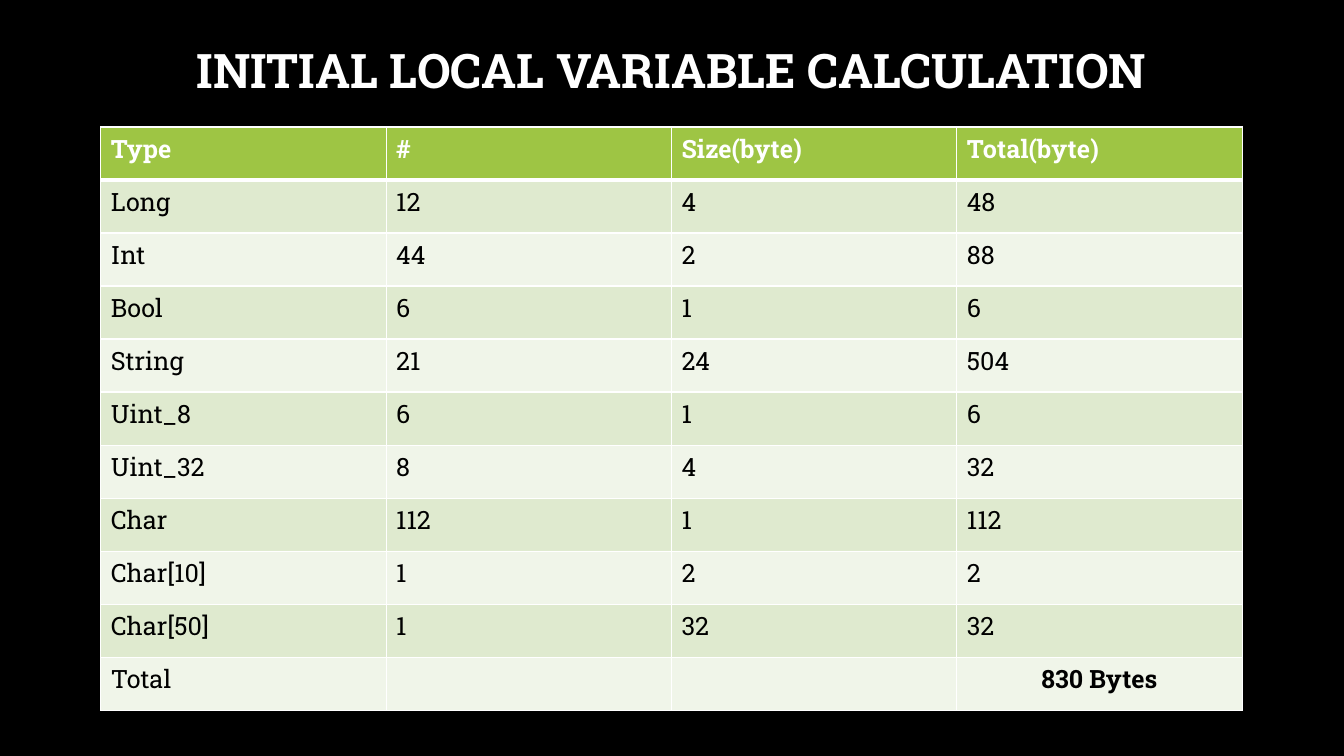
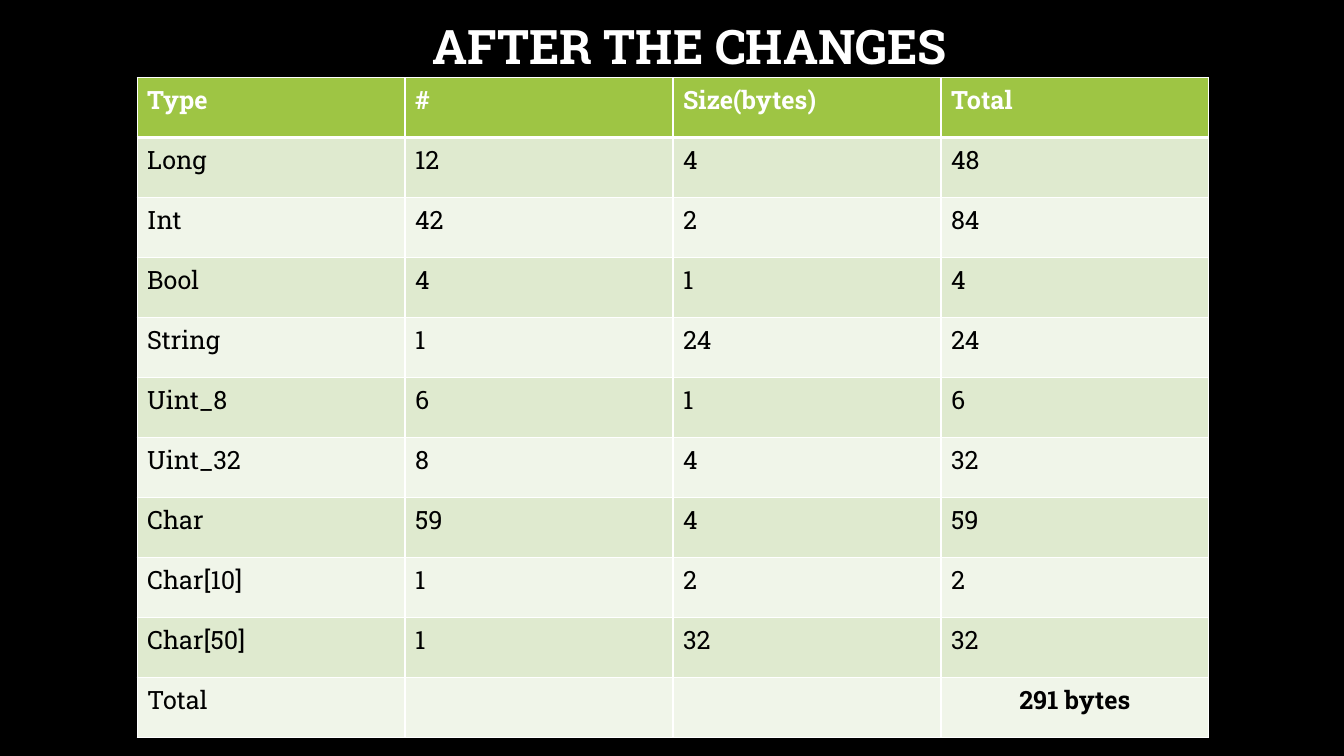
from lxml import etree
from pptx import Presentation
from pptx import util as u
from pptx.dml.color import RGBColor
from pptx.enum import text
from pptx.oxml import ns

COLOURS = {
    "background": "000000",
    "title": "FFFFFF",
    "border": "FFFFFF",
    "header": "9EC544",
    "header text": "FFFFFF",
    "odd row": "DFEACF",
    "even row": "F0F5E9",
    "body text": "000000",
}
FONT = "Roboto Slab"
TITLE_ONLY = 5


def colour(name):
    return RGBColor.from_string(COLOURS[name])


class Slides:
    """Holds the shared style and the slide being built."""

    def __init__(self):
        self.deck = Presentation()
        self.deck.slide_width = u.Inches(13.33)
        self.deck.slide_height = u.Inches(7.5)
        fill = self.deck.slide_master.background.fill
        fill.solid()
        fill.fore_color.rgb = colour("background")
        self.page = None

    def style(self, para, size, colour_name, bold, align):
        para.alignment = align
        para.font.name = FONT
        para.font.size = u.Pt(size)
        para.font.bold = bold
        para.font.color.rgb = colour(colour_name)

    def add_page(self, title, left, top, width, height):
        self.page = self.deck.slides.add_slide(self.deck.slide_layouts[TITLE_ONLY])
        box = self.page.shapes.title
        box.left, box.top = u.Inches(left), u.Inches(top)
        box.width, box.height = u.Inches(width), u.Inches(height)
        frame = box.text_frame
        frame.text = title
        frame.word_wrap = True
        frame.auto_size = text.MSO_AUTO_SIZE.NONE
        frame.vertical_anchor = text.MSO_ANCHOR.MIDDLE
        para = frame.paragraphs[0]
        para.line_spacing = 0.9
        self.style(para, 34, "title", True, text.PP_ALIGN.CENTER)

    def add_borders(self, cell, top, bottom):
        properties = cell._tc.get_or_add_tcPr()
        for side, points in (("L", 1), ("R", 1), ("T", top), ("B", bottom)):
            line = etree.SubElement(properties, ns.qn(f"a:ln{side}"), w=str(u.Pt(points)))
            fill = etree.SubElement(line, ns.qn("a:solidFill"))
            etree.SubElement(fill, ns.qn("a:srgbClr"), val=COLOURS["border"])

    def add_table(self, rows, left, top, width, height):
        row_count, column_count = len(rows), len(rows[0])
        table = self.page.shapes.add_table(
            row_count, column_count,
            u.Inches(left), u.Inches(top), u.Inches(width), u.Inches(height),
        ).table
        for r, values in enumerate(rows):
            header = r == 0
            band = "header" if header else "odd row" if r % 2 else "even row"
            for c, value in enumerate(values):
                cell = table.cell(r, c)
                # Borders come before the fill in the cell properties
                self.add_borders(cell, 3 if r == 1 else 1, 3 if header else 1)
                cell.fill.solid()
                cell.fill.fore_color.rgb = colour(band)
                cell.text = value
                grand_total = r == row_count - 1 and c == column_count - 1
                self.style(
                    cell.text_frame.paragraphs[0], 18,
                    "header text" if header else "body text",
                    header or grand_total,
                    text.PP_ALIGN.CENTER if grand_total else text.PP_ALIGN.LEFT,
                )


def main():
    slides = Slides()

    # Memory use before the changes
    slides.add_page("INITIAL LOCAL VARIABLE CALCULATION", 1, 0, 11.32, 1.45)
    slides.add_table([
        ("Type", "#", "Size(byte)", "Total(byte)"),
        ("Long", "12", "4", "48"),
        ("Int", "44", "2", "88"),
        ("Bool", "6", "1", "6"),
        ("String", "21", "24", "504"),
        ("Uint_8", "6", "1", "6"),
        ("Uint_32", "8", "4", "32"),
        ("Char", "112", "1", "112"),
        ("Char[10]", "1", "2", "2"),
        ("Char[50]", "1", "32", "32"),
        ("Total", "", "", "830 Bytes"),
    ], 1, 1.26, 11.32, 5.79)

    # Memory use after the changes
    slides.add_page("AFTER THE CHANGES", 1.35, -0.09, 10.98, 1.16)
    slides.add_table([
        ("Type", "#", "Size(bytes)", "Total"),
        ("Long", "12", "4", "48"),
        ("Int", "42", "2", "84"),
        ("Bool", "4", "1", "4"),
        ("String", "1", "24", "24"),
        ("Uint_8", "6", "1", "6"),
        ("Uint_32", "8", "4", "32"),
        ("Char", "59", "4", "59"),
        ("Char[10]", "1", "2", "2"),
        ("Char[50]", "1", "32", "32"),
        ("Total", "", "", "291 bytes"),
    ], 1.36, 0.77, 10.63, 6.55)

    slides.deck.save("out.pptx")


if __name__ == "__main__":
    main()
